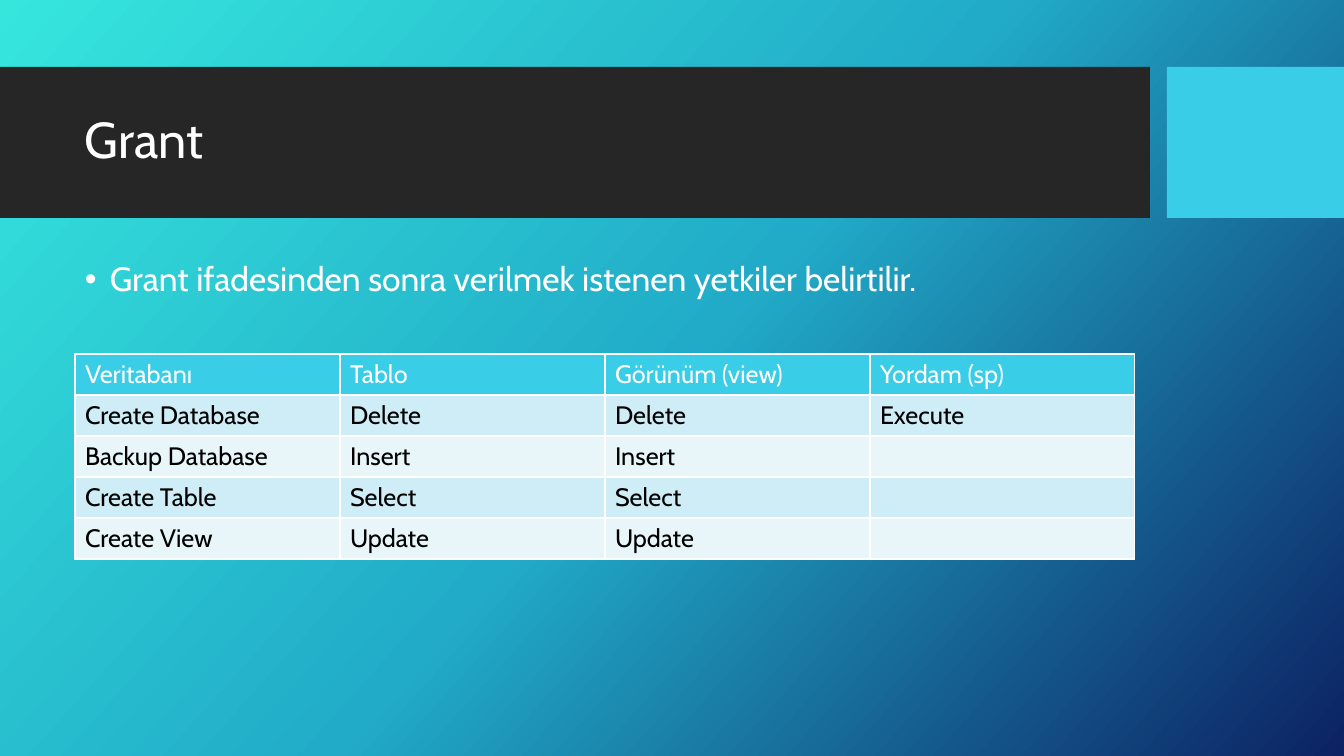
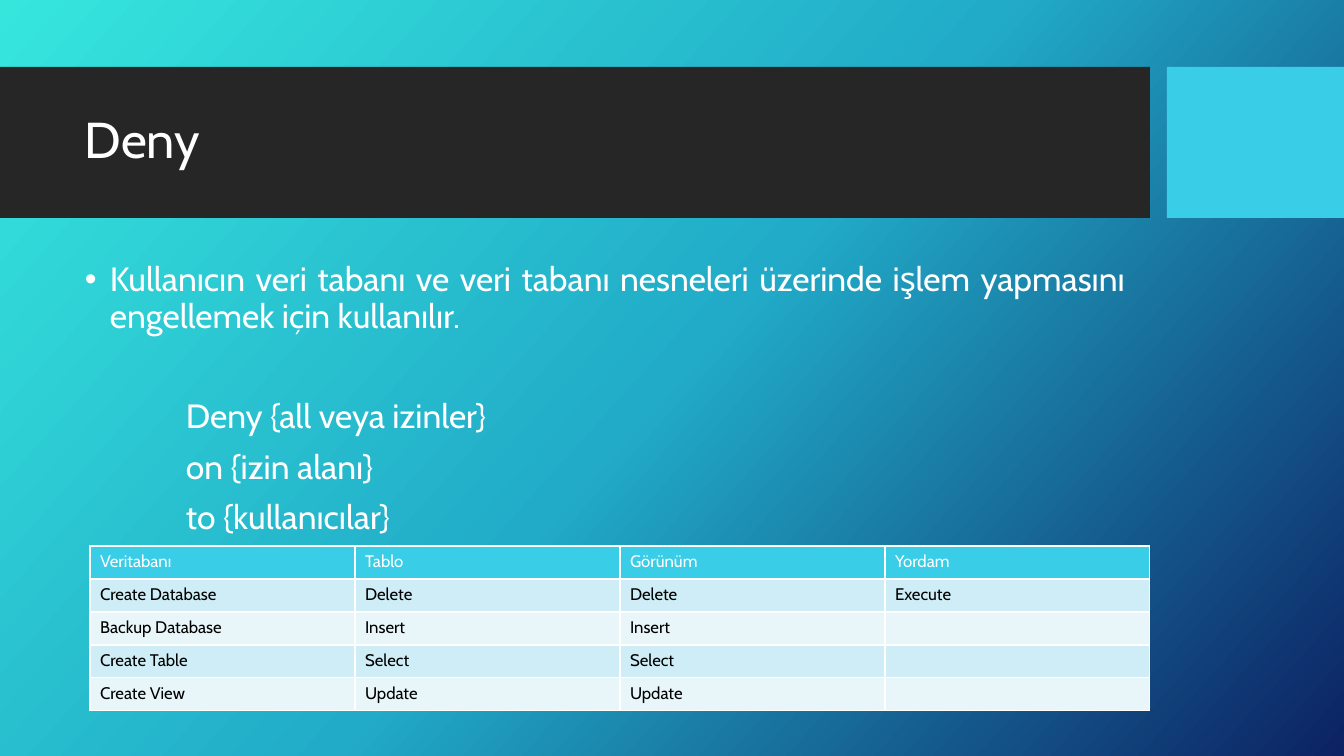
from dataclasses import dataclass

import lxml.etree
import pptx
import pptx.dml.color
import pptx.enum.shapes
import pptx.enum.text
import pptx.oxml.ns
import pptx.util

EMU_PER_PX = 914400 / 100.8
LEFT, CONTENT_WIDTH = 75, 1060


@dataclass(frozen=True)
class Theme:
    font: str = "Cabin"
    background: tuple = (("36E6DD", 0), ("21ABC8", 50), ("0C2263", 100))
    background_angle: int = 42
    band: str = "262626"
    accent: str = "39CDE7"
    rows: tuple = ("CEEDF6", "E8F6FA")
    light: str = "FFFFFF"
    dark: str = "000000"
    title_size: int = 36
    body_size: int = 24
    table_size: int = 18
    small_table_size: int = 12
    line_spacing: float = 0.9
    paragraph_gap: int = 10
    block_gap: int = 46


THEME = Theme()
PERMISSIONS = (
    ("Create Database", "Delete", "Delete", "Execute"),
    ("Backup Database", "Insert", "Insert", ""),
    ("Create Table", "Select", "Select", ""),
    ("Create View", "Update", "Update", ""),
)


def px(n):
    return pptx.util.Emu(round(n * EMU_PER_PX))


def rgb(color):
    return pptx.dml.color.RGBColor.from_string(color)


def add_xml(parent, tag, **attributes):
    return lxml.etree.SubElement(parent, pptx.oxml.ns.qn(tag), **attributes)


def set_fill(fill, color):
    fill.solid()
    fill.fore_color.rgb = rgb(color)


def set_font(p, size, color):
    p.font.name = THEME.font
    p.font.size = pptx.util.Pt(size)
    p.font.bold = False
    p.font.color.rgb = rgb(color)


def set_background(master):
    fill = master.background.fill
    fill.gradient()
    fill.gradient_angle = 360 - THEME.background_angle
    stops = master.element.xpath("./p:cSld/p:bg//a:gsLst")[0]
    for stop in list(stops):
        stops.remove(stop)
    for color, percent in THEME.background:
        stop = add_xml(stops, "a:gs", pos=str(percent * 1000))
        add_xml(stop, "a:srgbClr", val=color)


def add_rect(slide, left, top, width, height, color):
    sp = slide.shapes.add_shape(pptx.enum.shapes.MSO_SHAPE.RECTANGLE,
                                px(left), px(top), px(width), px(height))
    sp.shadow.inherit = False
    set_fill(sp.fill, color)
    sp.line.fill.background()


def add_text_frame(slide, top, height):
    sp = slide.shapes.add_textbox(px(LEFT), px(top), px(CONTENT_WIDTH), px(height))
    tf = sp.text_frame
    tf.word_wrap = True
    return tf


def add_titled_slide(prs, title):
    slide = prs.slides.add_slide(prs.slide_layouts[6])
    add_rect(slide, 0, 67, 1150, 151, THEME.band)
    add_rect(slide, 1167, 67, 177, 151, THEME.accent)
    tf = add_text_frame(slide, 83, 119)
    tf.vertical_anchor = pptx.enum.text.MSO_ANCHOR.MIDDLE
    p = tf.paragraphs[0]
    p.text = title
    p.line_spacing = THEME.line_spacing
    set_font(p, THEME.title_size, THEME.light)
    return slide


def set_indent(p, left, first_line=0):
    pPr = p._p.get_or_add_pPr()
    pPr.set("marL", str(px(left)))
    pPr.set("indent", str(px(first_line)))
    return pPr


def add_body(slide, bullet, syntax=(), align=pptx.enum.text.PP_ALIGN.LEFT):
    tf = add_text_frame(slide, 258, 397 if not syntax else 284)
    p = tf.paragraphs[0]
    p.text = bullet
    p.alignment = align
    pPr = set_indent(p, 25, -25)
    add_xml(pPr, "a:buFont", typeface="Arial")
    add_xml(pPr, "a:buChar", char="•")
    for i, line in enumerate(syntax):
        p = tf.add_paragraph()
        p.text = line
        p.space_before = pptx.util.Pt(THEME.paragraph_gap if i else THEME.block_gap)
        set_indent(p, 101)
    for p in tf.paragraphs:
        p.line_spacing = THEME.line_spacing
        set_font(p, THEME.body_size, THEME.light)


def set_borders(cell):
    tcPr = cell._tc.get_or_add_tcPr()
    for side in ("a:lnL", "a:lnR", "a:lnT", "a:lnB"):
        ln = add_xml(tcPr, side, w=str(pptx.util.Pt(1)))
        add_xml(add_xml(ln, "a:solidFill"), "a:srgbClr", val=THEME.light)


def fill_cell(cell, text, size, color, fill):
    p = cell.text_frame.paragraphs[0]
    p.text = text
    set_font(p, size, color)
    if not text:
        add_xml(p._p, "a:endParaRPr", sz=str(size * 100))
    set_borders(cell)
    set_fill(cell.fill, fill)


def add_permission_table(slide, left, top, row_height, size, headers):
    rows = (headers, *PERMISSIONS)
    table = slide.shapes.add_table(len(rows), len(headers), px(left), px(top),
                                   px(CONTENT_WIDTH), px(row_height * len(rows))).table
    for i, values in enumerate(rows):
        table.rows[i].height = px(row_height)
        color = THEME.dark if i else THEME.light
        fill = THEME.rows[(i - 1) % 2] if i else THEME.accent
        for j, text in enumerate(values):
            fill_cell(table.cell(i, j), text, size, color, fill)


def main():
    prs = pptx.Presentation()
    prs.slide_width, prs.slide_height = px(1344), px(756)
    set_background(prs.slide_master)

    grant = add_titled_slide(prs, "Grant")
    add_permission_table(grant, LEFT, 354, 41, THEME.table_size,
                         ("Veritabanı", "Tablo", "Görünüm (view)", "Yordam (sp)"))
    add_body(grant, "Grant ifadesinden sonra verilmek istenen yetkiler belirtilir.")

    deny = add_titled_slide(prs, "Deny")
    add_body(deny,
             "Kullanıcın veri tabanı ve veri tabanı nesneleri üzerinde işlem "
             "yapmasını engellemek için kullanılır.",
             ("Deny {all veya izinler}", "on {izin alanı}", "to {kullanıcılar}"),
             pptx.enum.text.PP_ALIGN.JUSTIFY)
    add_permission_table(deny, 90, 546, 33, THEME.small_table_size,
                         ("Veritabanı", "Tablo", "Görünüm", "Yordam"))

    prs.save("out.pptx")


if __name__ == "__main__":
    main()
